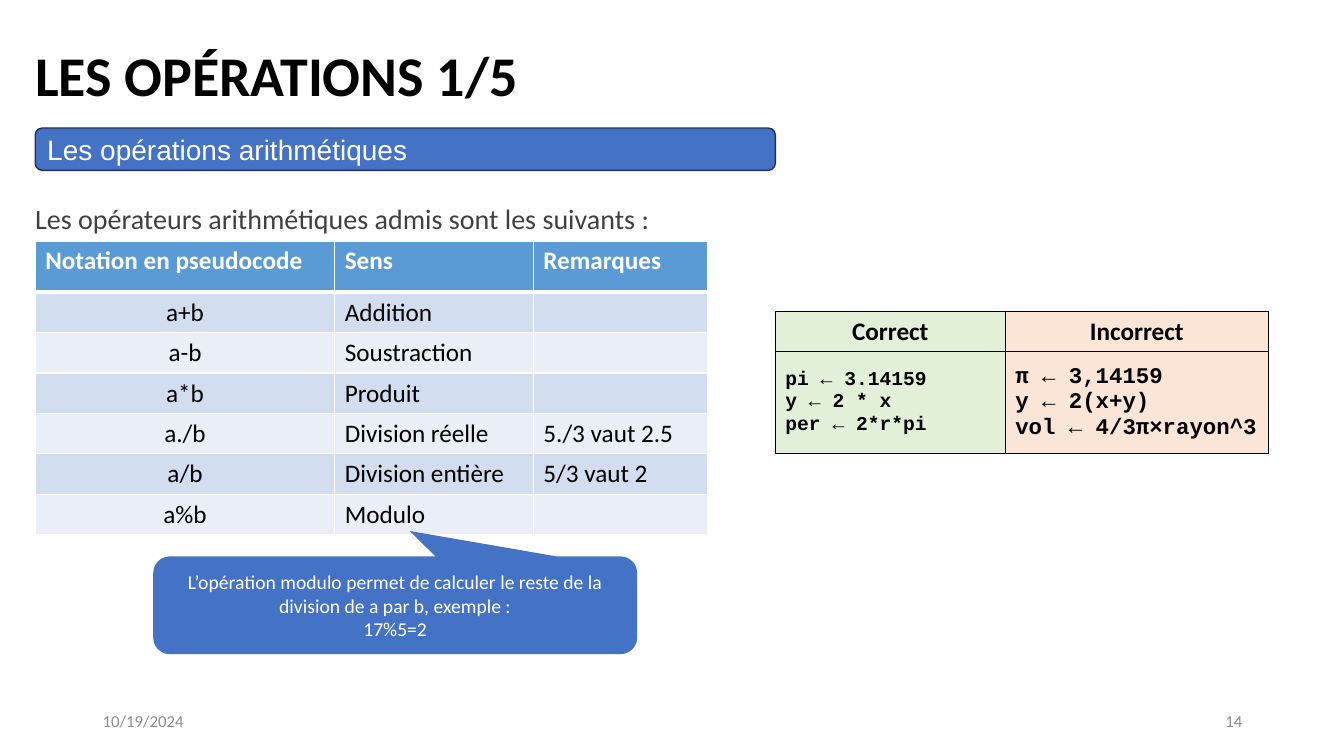
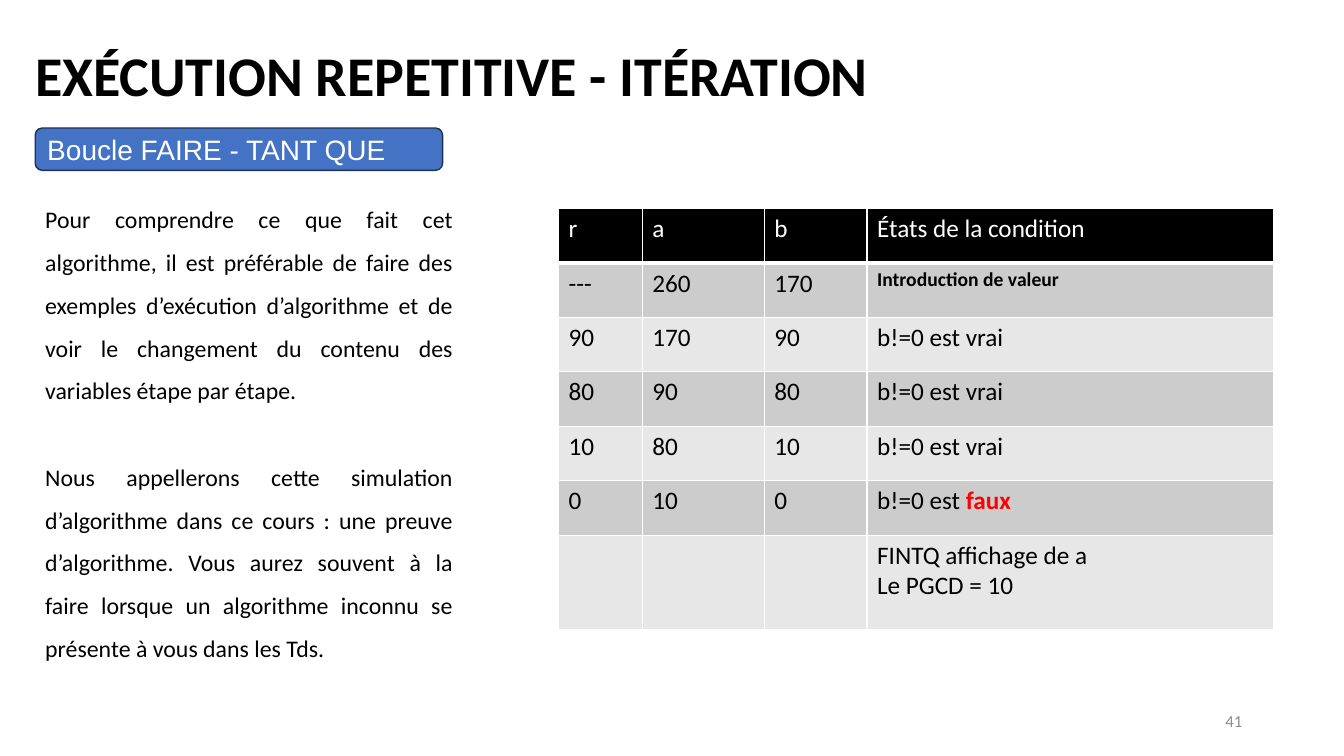
from lxml.etree import SubElement
from pptx import Presentation
from pptx.dml.color import RGBColor
from pptx.enum.shapes import MSO_SHAPE
from pptx.enum.text import MSO_ANCHOR, PP_ALIGN
from pptx.oxml.ns import qn
from pptx.util import Emu, Pt

PX = 9144
BLACK, WHITE, GREY, BLUE = "000000", "FFFFFF", "8C8C8C", "4472C4"
CENTERED = {"align": PP_ALIGN.CENTER}


def px(length):
    return Emu(length * PX)


def rgb(value):
    return RGBColor.from_string(value)


class Course:
    """Course slides that share one title, banner, table and footer style."""

    def __init__(self):
        self.deck = Presentation()
        self.deck.slide_width, self.deck.slide_height = px(1333), px(750)
        self.slide = None

    def new_slide(self, title, banner, banner_width, number):
        self.slide = self.deck.slides.add_slide(self.deck.slide_layouts[6])
        self.text(25, 35, 1150, 77, title, size=40, bold=True)
        self.box(MSO_SHAPE.ROUNDED_RECTANGLE, 35, 127, banner_width, 42, banner,
                 outline="1E3256", size=20, font="Arial")
        self.footer(942, number, PP_ALIGN.RIGHT)

    def typeset(self, frame, text, size=18, color=BLACK, bold=False, font="Calibri",
                align=PP_ALIGN.LEFT, line_spacing=None, gap=0):
        frame.word_wrap = True
        frame.text = text
        for index, paragraph in enumerate(frame.paragraphs):
            paragraph.alignment = align
            if line_spacing:
                paragraph.line_spacing = line_spacing
            if index and gap:
                paragraph.space_before = Pt(gap)
            paragraph.font.size = Pt(size)
            paragraph.font.bold = bold
            paragraph.font.name = font
            paragraph.font.color.rgb = rgb(color)

    def text(self, left, top, width, height, text, anchor=MSO_ANCHOR.TOP, **style):
        frame = self.slide.shapes.add_textbox(*map(px, (left, top, width, height))).text_frame
        frame.vertical_anchor = anchor
        self.typeset(frame, text, **style)

    def footer(self, left, text, align=PP_ALIGN.LEFT):
        self.text(left, 695, 300, 40, text, MSO_ANCHOR.MIDDLE, size=12, color=GREY, align=align)

    def box(self, preset, left, top, width, height, text, outline=None, adjustments=(), **style):
        shape = self.slide.shapes.add_shape(preset, *map(px, (left, top, width, height)))
        shape.shadow.inherit = False
        shape.fill.solid()
        shape.fill.fore_color.rgb = rgb(BLUE)
        if outline:
            shape.line.color.rgb = rgb(outline)
            shape.line.width = Pt(1)
        else:
            shape.line.fill.background()
        for index, value in enumerate(adjustments):
            shape.adjustments[index] = value
        shape.text_frame.vertical_anchor = MSO_ANCHOR.MIDDLE
        self.typeset(shape.text_frame, text, color=WHITE, **style)

    def table(self, left, top, widths, heights, rows, fill, header,
              border=WHITE, thickness=1, header_rule=3, anchor=MSO_ANCHOR.TOP):
        grid = self.slide.shapes.add_table(
            len(heights), len(widths),
            *map(px, (left, top, sum(widths), sum(heights)))).table
        grid.first_row = grid.horz_banding = False
        for column, width in zip(grid.columns, widths):
            column.width = px(width)
        for row, height in zip(grid.rows, heights):
            row.height = px(height)
        for r, entries in enumerate(rows):
            for c, entry in enumerate(entries):
                text, style = entry if isinstance(entry, tuple) else (entry, {})
                cell = grid.cell(r, c)
                cell.vertical_anchor = anchor
                above = header_rule if r == 1 else thickness
                below = header_rule if r == 0 else thickness
                self.borders(cell, border, L=thickness, R=thickness, T=above, B=below)
                cell.fill.solid()
                cell.fill.fore_color.rgb = rgb(fill(r, c))
                self.typeset(cell.text_frame, text, **(style if r else {**header, **style}))
        return grid

    def borders(self, cell, color, **sides):
        properties = cell._tc.get_or_add_tcPr()
        for side, width in sides.items():
            line = SubElement(properties, qn(f"a:ln{side}"), w=str(Pt(width)))
            SubElement(SubElement(line, qn("a:solidFill")), qn("a:srgbClr"), val=color)


def banded(header, odd, even):
    return lambda row, column: (odd if row % 2 else even) if row else header


def operations(course):
    course.new_slide("LES OPÉRATIONS 1/5", "Les opérations arithmétiques", 734, "14")
    course.footer(92, "10/19/2024")
    course.text(25, 195, 666, 44, "Les opérateurs arithmétiques admis sont les suivants :",
                size=20, color="404040")
    operators = [
        ("a+b", "Addition", ""),
        ("a-b", "Soustraction", ""),
        ("a*b", "Produit", ""),
        ("a./b", "Division réelle", "5./3 vaut 2.5"),
        ("a/b", "Division entière", "5/3 vaut 2"),
        ("a%b", "Modulo", ""),
    ]
    course.table(
        35, 239, [297, 197, 173], [51] + [40] * len(operators),
        [("Notation en pseudocode", "Sens", "Remarques")]
        + [((notation, CENTERED), meaning, remark) for notation, meaning, remark in operators],
        banded("5B9BD5", "D2DEEF", "EAEFF7"), {"color": WHITE, "bold": True})
    code = {"font": "Courier New", "bold": True}
    examples = course.table(
        769, 309, [228, 261], [40, 101],
        [("Correct", "Incorrect"),
         (("pi ← 3.14159\ny ← 2 * x\nper ← 2*r*pi", {**code, "size": 14}),
          ("π ← 3,14159\ny ← 2(x+y)\nvol ← 4/3π×rayon^3", {**code, "size": 16}))],
        lambda row, column: ("E2F0D9", "FBE5D6")[column], {**CENTERED, "bold": True},
        border=BLACK, thickness=0.75, header_rule=0.75, anchor=MSO_ANCHOR.MIDDLE)
    for cell in examples.rows[1].cells:
        cell.margin_top = cell.margin_bottom = px(10)
    course.box(MSO_SHAPE.ROUNDED_RECTANGULAR_CALLOUT, 152, 552, 480, 97,
               "L’opération modulo permet de calculer le reste de la division de a par b, "
               "exemple :\n17%5=2",
               adjustments=(0.03, -0.76, 0.17), size=14, **CENTERED)


def iteration(course):
    course.new_slide("EXÉCUTION REPETITIVE - ITÉRATION", "Boucle FAIRE - TANT QUE", 404, "41")
    course.text(35, 184, 424, 564,
                "Pour comprendre ce que fait cet algorithme, il est préférable de faire des "
                "exemples d’exécution d’algorithme et de voir le changement du contenu des "
                "variables étape par étape.\n"
                "Nous appellerons cette simulation d’algorithme dans ce cours : une preuve "
                "d’algorithme. Vous aurez souvent à la faire lorsque un algorithme inconnu se "
                "présente à vous dans les Tds.",
                size=17, align=PP_ALIGN.JUSTIFY, line_spacing=1.5, gap=31)
    trace = course.table(
        554, 207, [83, 121, 102, 403], [54] * 6 + [94],
        [("r", "a", "b", "États de la condition"),
         ("---", "260", "170", ("Introduction de valeur", {"size": 14, "bold": True})),
         ("90", "170", "90", "b!=0 est vrai"),
         ("80", "90", "80", "b!=0 est vrai"),
         ("10", "80", "10", "b!=0 est vrai"),
         ("0", "10", "0", "b!=0 est "),
         ("", "", "", "FINTQ affichage de a\nLe PGCD = 10")],
        banded(BLACK, "CCCCCC", "E7E7E7"), {"color": WHITE})
    outcome = trace.cell(5, 3).text_frame.paragraphs[0].add_run()
    outcome.text = "faux"
    outcome.font.bold = True
    outcome.font.color.rgb = rgb("FF0000")


def main():
    course = Course()
    operations(course)
    iteration(course)
    course.deck.save("out.pptx")


if __name__ == "__main__":
    main()
